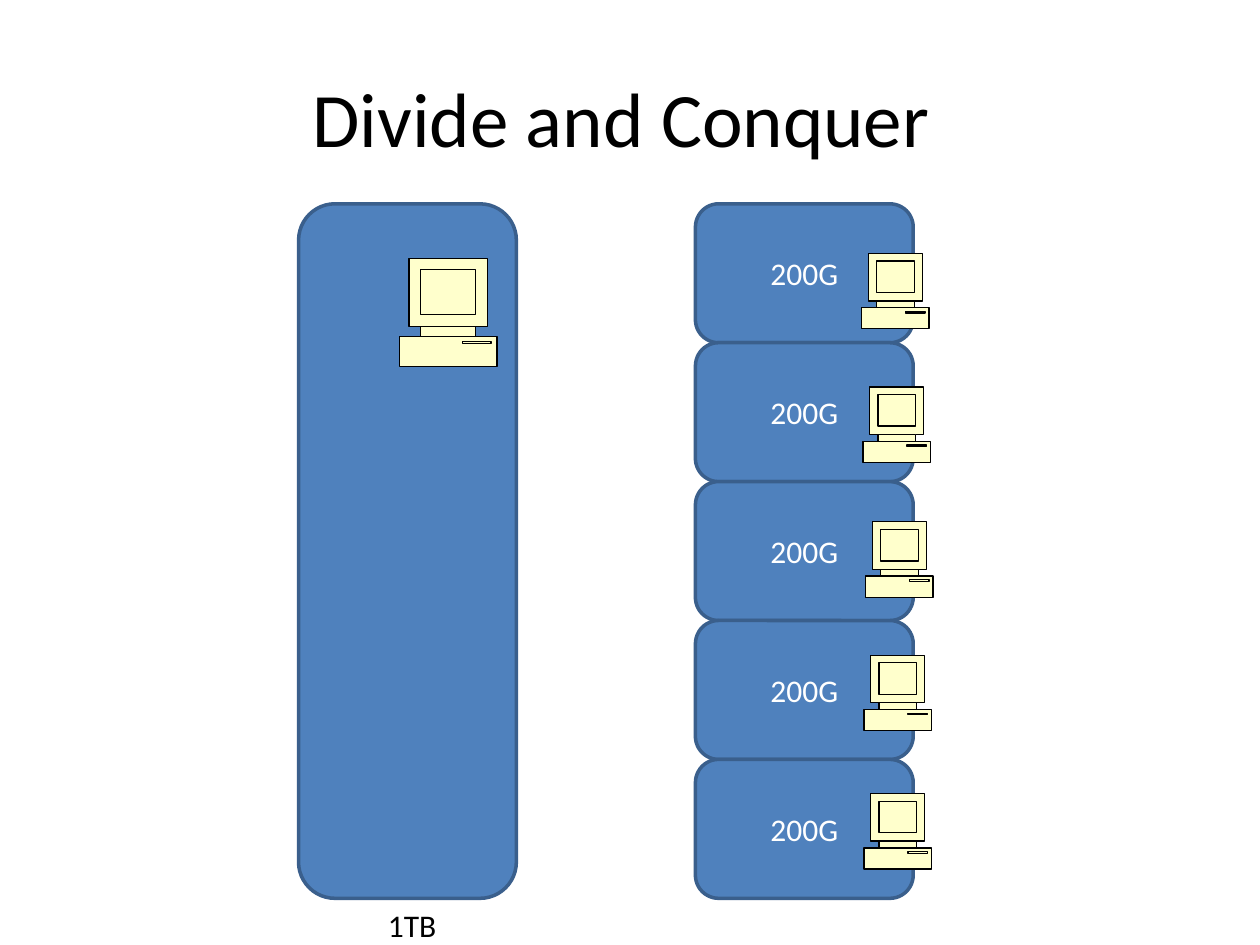
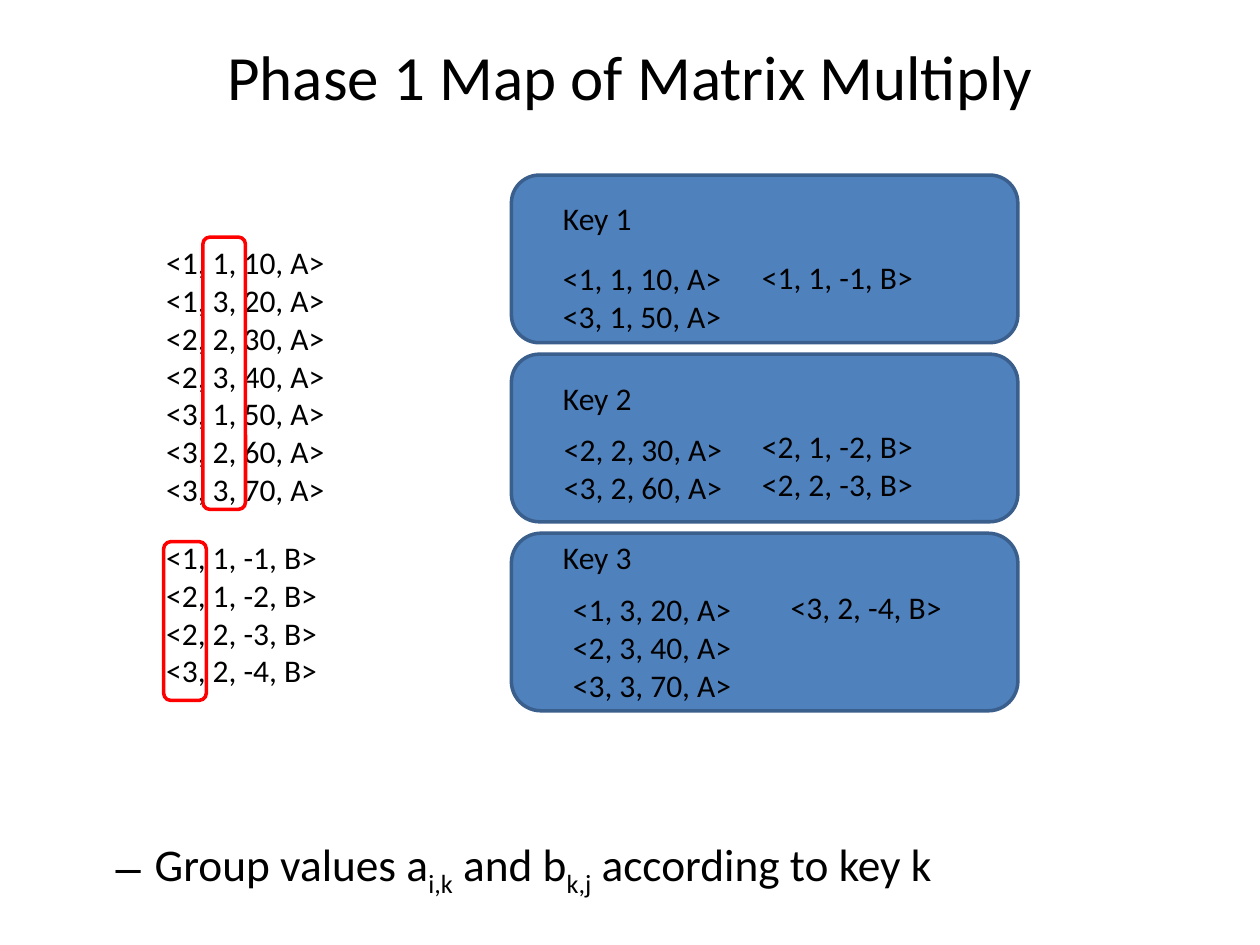
from lxml import etree
from pptx import Presentation
from pptx import util as u
from pptx.dml.color import RGBColor
from pptx.enum import shapes, text
from pptx.oxml.ns import qn

Cm, Pt = u.Cm, u.Pt

BLUE = RGBColor(0x4F, 0x81, 0xBD)
DARK_BLUE = RGBColor(0x3A, 0x5F, 0x8C)
CREAM = RGBColor(0xFF, 0xFF, 0xCC)
RED = RGBColor(0xFF, 0x00, 0x00)
BLACK = RGBColor(0x00, 0x00, 0x00)
WHITE = RGBColor(0xFF, 0xFF, 0xFF)
FONT = "Calibri"

# Left, top, right, bottom in percent of the icon: monitor, neck, base, screen, slot
COMPUTER_PARTS = [(10, 0, 90, 63), (22, 63, 78, 72), (0, 72, 100, 100),
                  (22, 10, 78, 52), (65, 77, 94, 79)]

MATRIX_A = [(1, 1, 10), (1, 3, 20), (2, 2, 30), (2, 3, 40),
            (3, 1, 50), (3, 2, 60), (3, 3, 70)]
MATRIX_B = [(1, 1, -1), (2, 1, -2), (2, 2, -3), (3, 2, -4)]


def write(tf, lines, size=18, color=BLACK, align=text.PP_ALIGN.LEFT):
    """Fill a text frame; underscores enclose subscripts."""
    for i, line in enumerate(lines):
        p = tf.paragraphs[0] if i == 0 else tf.add_paragraph()
        p.alignment = align
        for j, piece in enumerate(line.split("_")):
            r = p.add_run()
            r.text = piece
            r.font.name, r.font.size = FONT, Pt(size)
            r.font.color.rgb = color
            if j % 2:
                r.font._element.set("baseline", "-25000")


def add_title(s, title, top, size):
    sp = s.shapes.title
    sp.left, sp.top, sp.width, sp.height = Cm(1.27), Cm(top), Cm(22.86), Cm(3.18)
    sp.text_frame.vertical_anchor = text.MSO_ANCHOR.MIDDLE
    write(sp.text_frame, [title], size=size, align=text.PP_ALIGN.CENTER)


def add_label(s, x, y, w, lines):
    """Add unwrapped lines in a box whose height follows their number."""
    sp = s.shapes.add_textbox(Cm(x), Cm(y), Cm(w), Cm(0.25 + 0.77 * len(lines)))
    tf = sp.text_frame
    tf.word_wrap = False
    tf.auto_size = text.MSO_AUTO_SIZE.SHAPE_TO_FIT_TEXT
    write(tf, lines)


def add_round_box(s, x, y, w, h, fill=BLUE, line=DARK_BLUE, label=None):
    sp = s.shapes.add_shape(shapes.MSO_SHAPE.ROUNDED_RECTANGLE,
                            Cm(x), Cm(y), Cm(w), Cm(h))
    sp.shadow.inherit = False
    if fill is None:
        sp.fill.background()
    else:
        sp.fill.solid()
        sp.fill.fore_color.rgb = fill
    sp.line.color.rgb = line
    sp.line.width = Pt(2)
    if label:
        sp.text_frame.vertical_anchor = text.MSO_ANCHOR.MIDDLE
        write(sp.text_frame, [label], color=WHITE, align=text.PP_ALIGN.CENTER)


def split_contours(sp):
    """Give each contour its own path, so that inner ones are not cut out."""
    first = sp._element.find(".//" + qn("a:path"))
    target = first
    for i, step in enumerate(list(first)):
        if i and step.tag == qn("a:moveTo"):
            target = etree.SubElement(first.getparent(), qn("a:path"), dict(first.attrib))
        target.append(step)


def add_computer(s, x, y, w, h):
    builder = None
    for left, top, right, bottom in COMPUTER_PARTS:
        if builder is None:
            builder = s.shapes.build_freeform(left, top, scale=(Cm(w) / 100, Cm(h) / 100))
        else:
            builder.move_to(left, top)
        builder.add_line_segments([(right, top), (right, bottom), (left, bottom)])
    sp = builder.convert_to_shape(Cm(x), Cm(y))
    split_contours(sp)
    sp.shadow.inherit = False
    sp.fill.solid()
    sp.fill.fore_color.rgb = CREAM
    sp.line.color.rgb = BLACK
    sp.line.width = Pt(0.75)


def add_whole_disk(s, x, y, w, h):
    add_round_box(s, x, y, w, h)
    add_computer(s, x + 2.03, y + 1.1, 1.97, 2.18)
    add_label(s, x + 1.55, y + h + 0.03, 1.5, ["1TB"])


def add_split_disk(s, x, y, w, h):
    computer_offsets = [(3.35, 1.0), (3.38, 0.89), (3.43, 0.81), (3.4, 0.7), (3.4, 0.69)]
    part_h = h / len(computer_offsets)
    tops = [y + i * part_h for i in range(len(computer_offsets))]
    for top in tops:
        add_round_box(s, x, top, w, part_h, label="200G")
    for top, (dx, dy) in zip(tops, computer_offsets):
        add_computer(s, x + dx, top + dy, 1.36, 1.52)


def entries(rows, matrix):
    return [f"<{i}, {j}, {value}, {matrix}>" for i, j, value in rows]


def add_matrix_lists(s, x, y):
    """List both matrices and outline the column that holds the key."""
    add_label(s, x, y, 3.73, entries(MATRIX_A, "A"))
    add_label(s, x, y + 5.94, 3.61, entries(MATRIX_B, "B"))
    add_round_box(s, x + 0.99, y, 0.86, 5.49, fill=None, line=RED)
    add_round_box(s, x + 0.2, y + 6.14, 0.86, 3.2, fill=None, line=RED)


def add_key_group(s, x, y, h, key, key_dy, a_offset, b_offset):
    add_round_box(s, x, y, 10.21, h)
    add_label(s, x + 0.79, y + key_dy, 1.9, [f"Key {key}"])
    a_rows = [row for row in MATRIX_A if row[1] == key]
    b_rows = [row for row in MATRIX_B if row[0] == key]
    add_label(s, x + a_offset[0], y + a_offset[1], 3.73, entries(a_rows, "A"))
    add_label(s, x + b_offset[0], y + b_offset[1], 3.61, entries(b_rows, "B"))


def add_dash_point(s, x, y, w, h, line):
    tf = s.shapes.add_textbox(Cm(x), Cm(y), Cm(w), Cm(h)).text_frame
    tf.word_wrap = True
    pPr = tf.paragraphs[0]._p.get_or_add_pPr()
    pPr.set("marL", str(Cm(2.06)))
    pPr.set("indent", str(Cm(-0.79)))
    etree.SubElement(pPr, qn("a:buFont"), typeface="Arial")
    etree.SubElement(pPr, qn("a:buChar"), char="–")
    write(tf, [line], size=25.9)


def divide_slide(s):
    add_title(s, "Divide and Conquer ", 0.76, 44)
    add_whole_disk(s, 6.02, 4.11, 4.39, 14)
    add_split_disk(s, 14.02, 4.11, 4.39, 14)


def map_slide(s):
    add_title(s, "Phase 1 Map of Matrix Multiply", -0.08, 36)
    groups = [(3.38, 0.36, (0.79, 1.57), (4.8, 1.55)),
              (3.38, 0.38, (0.81, 1.4), (4.8, 1.35)),
              (3.58, -0.03, (0.99, 1.02), (5.38, 0.97))]
    for i, (h, key_dy, a_offset, b_offset) in enumerate(groups):
        add_key_group(s, 10.31, 3.53 + 3.61 * i, h, i + 1, key_dy, a_offset, b_offset)
    add_matrix_lists(s, 3.1, 4.78)
    add_dash_point(s, 0.81, 16.74, 23.06, 1.17,
                   "Group values a_i,k_ and b_k,j_ according to key k")


def main():
    prs = Presentation()
    prs.slide_width, prs.slide_height = Cm(25.4), Cm(19.05)
    title_only = prs.slide_layouts.get_by_name("Title Only")
    for build in (divide_slide, map_slide):
        build(prs.slides.add_slide(title_only))
    prs.save("out.pptx")


if __name__ == "__main__":
    main()
